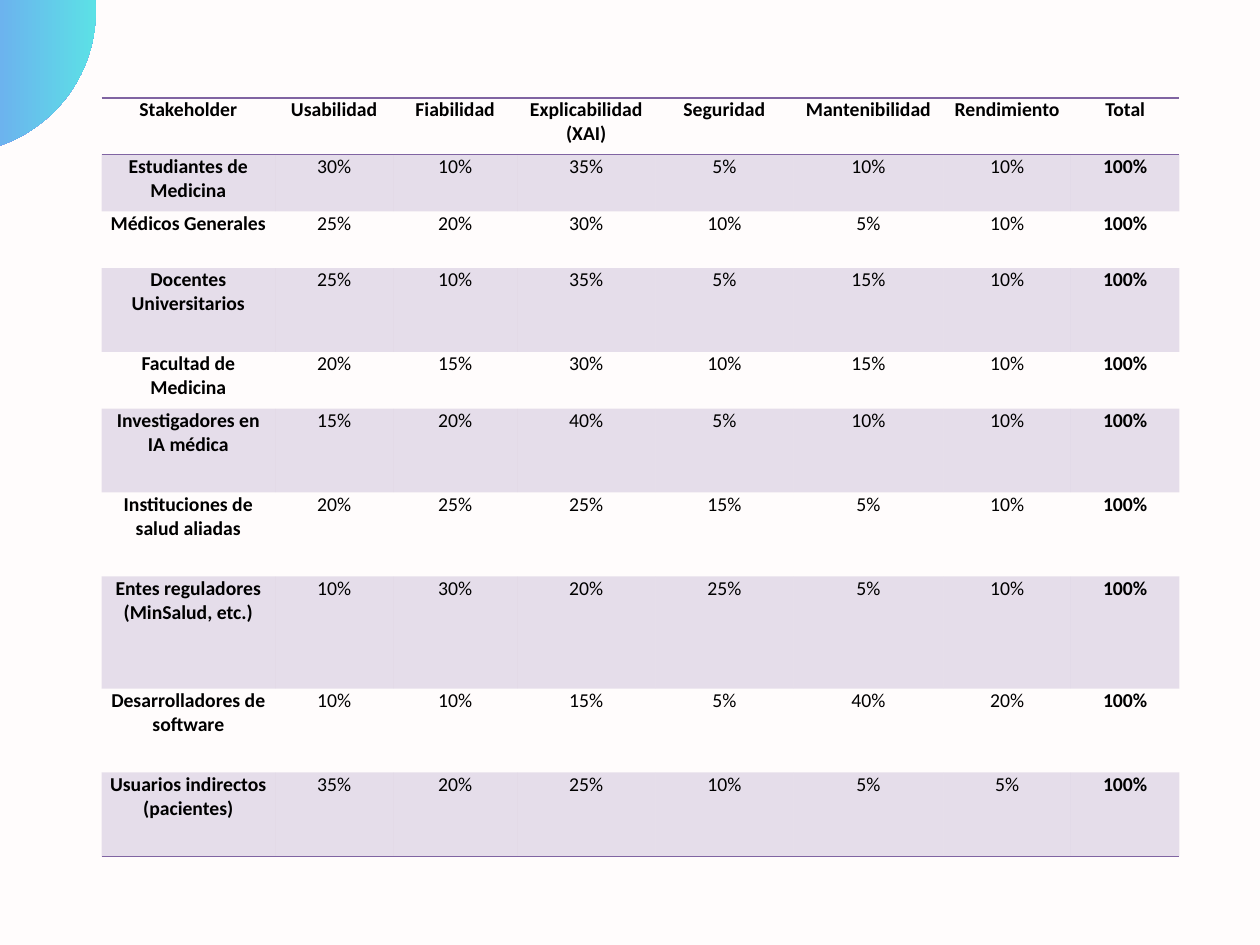
from lxml import etree
from pptx import Presentation
from pptx.dml.color import RGBColor
from pptx.enum.shapes import MSO_SHAPE
from pptx.enum.text import PP_ALIGN
from pptx.oxml.ns import qn
from pptx.util import Inches, Pt

OVAL = MSO_SHAPE.OVAL
CENTER = PP_ALIGN.CENTER
BACKGROUND = RGBColor(0xFF, 0xFC, 0xFC)
PURPLE = RGBColor(0x80, 0x64, 0xA2)
VIOLET = RGBColor(0x8C, 0x52, 0xFF)
AQUA = RGBColor(0x5C, 0xE1, 0xE6)
BLACK = RGBColor(0, 0, 0)
NO_STYLE = "{2D5ABB26-0587-4C30-8999-92F81FD0307C}"

HEADERS = ["Stakeholder", "Usabilidad", "Fiabilidad", "Explicabilidad (XAI)",
           "Seguridad", "Mantenibilidad", "Rendimiento", "Total"]
WEIGHTS = [
    ("Estudiantes de Medicina", 30, 10, 35, 5, 10, 10),
    ("Médicos Generales", 25, 20, 30, 10, 5, 10),
    ("Docentes Universitarios", 25, 10, 35, 5, 15, 10),
    ("Facultad de Medicina", 20, 15, 30, 10, 15, 10),
    ("Investigadores en IA médica", 15, 20, 40, 5, 10, 10),
    ("Instituciones de salud aliadas", 20, 25, 25, 15, 5, 10),
    ("Entes reguladores (MinSalud, etc.)", 10, 30, 20, 25, 5, 10),
    ("Desarrolladores de software", 10, 10, 15, 5, 40, 20),
    ("Usuarios indirectos (pacientes)", 35, 20, 25, 10, 5, 5),
]
COL_WIDTHS = [1.47, 1, 1.05, 1.17, 1.17, 1.27, 1.08, 0.92]
ROW_HEIGHTS = [0.48, 0.48, 0.48, 0.71, 0.48, 0.71, 0.71, 0.95, 0.71, 0.71]


def add_border(cell, side):
    tcPr = cell._tc.get_or_add_tcPr()
    ln = etree.SubElement(tcPr, qn(f"a:ln{side}"), w=str(Pt(1)))
    fill = etree.SubElement(ln, qn("a:solidFill"))
    etree.SubElement(fill, qn("a:srgbClr"), val=str(PURPLE))


def shade(cell):
    cell.fill.solid()
    cell.fill.fore_color.rgb = PURPLE
    color = cell._tc.tcPr.find(qn("a:solidFill")).find(qn("a:srgbClr"))
    etree.SubElement(color, qn("a:alpha"), val="20000")


def write(cell, text, bold):
    cell.margin_left = cell.margin_right = Inches(0.07)
    cell.margin_top = cell.margin_bottom = 0
    p = cell.text_frame.paragraphs[0]
    p.text = text
    p.alignment = CENTER
    p.font.name = "Calibri"
    p.font.size = Pt(12)
    p.font.bold = bold
    p.font.color.rgb = BLACK


prs = Presentation()
prs.slide_width, prs.slide_height = Inches(10.67), Inches(8)
s = prs.slides.add_slide(prs.slide_layouts[6])
s.background.fill.solid()
s.background.fill.fore_color.rgb = BACKGROUND

circle = s.shapes.add_shape(OVAL, Inches(-1.61), Inches(-1.11), Inches(2.42), Inches(2.41))
circle.shadow.inherit = False
circle.line.fill.background()
circle.fill.gradient()
circle.fill.gradient_angle = 0
for stop, position, color in zip(circle.fill.gradient_stops, (0, 1), (VIOLET, AQUA)):
    stop.position = position
    stop.color.rgb = color

rows = [HEADERS] + [[name, *(f"{v}%" for v in values), f"{sum(values)}%"]
                    for name, *values in WEIGHTS]
last_row, last_col = len(rows) - 1, len(HEADERS) - 1
table = s.shapes.add_table(len(rows), len(HEADERS), Inches(0.86), Inches(0.83),
                           Inches(sum(COL_WIDTHS)), Inches(sum(ROW_HEIGHTS))).table
table._tbl.tblPr.find(qn("a:tableStyleId")).text = NO_STYLE
for column, width in zip(table.columns, COL_WIDTHS):
    column.width = Inches(width)
for row, height in zip(table.rows, ROW_HEIGHTS):
    row.height = Inches(height)

for i, values in enumerate(rows):
    for j, text in enumerate(values):
        cell = table.cell(i, j)
        write(cell, text, i == 0 or j in (0, last_col))
        if i == 0:
            add_border(cell, "T")
        if i in (0, last_row):
            add_border(cell, "B")
        if i % 2:
            shade(cell)
        else:
            cell.fill.background()

prs.save("out.pptx")
